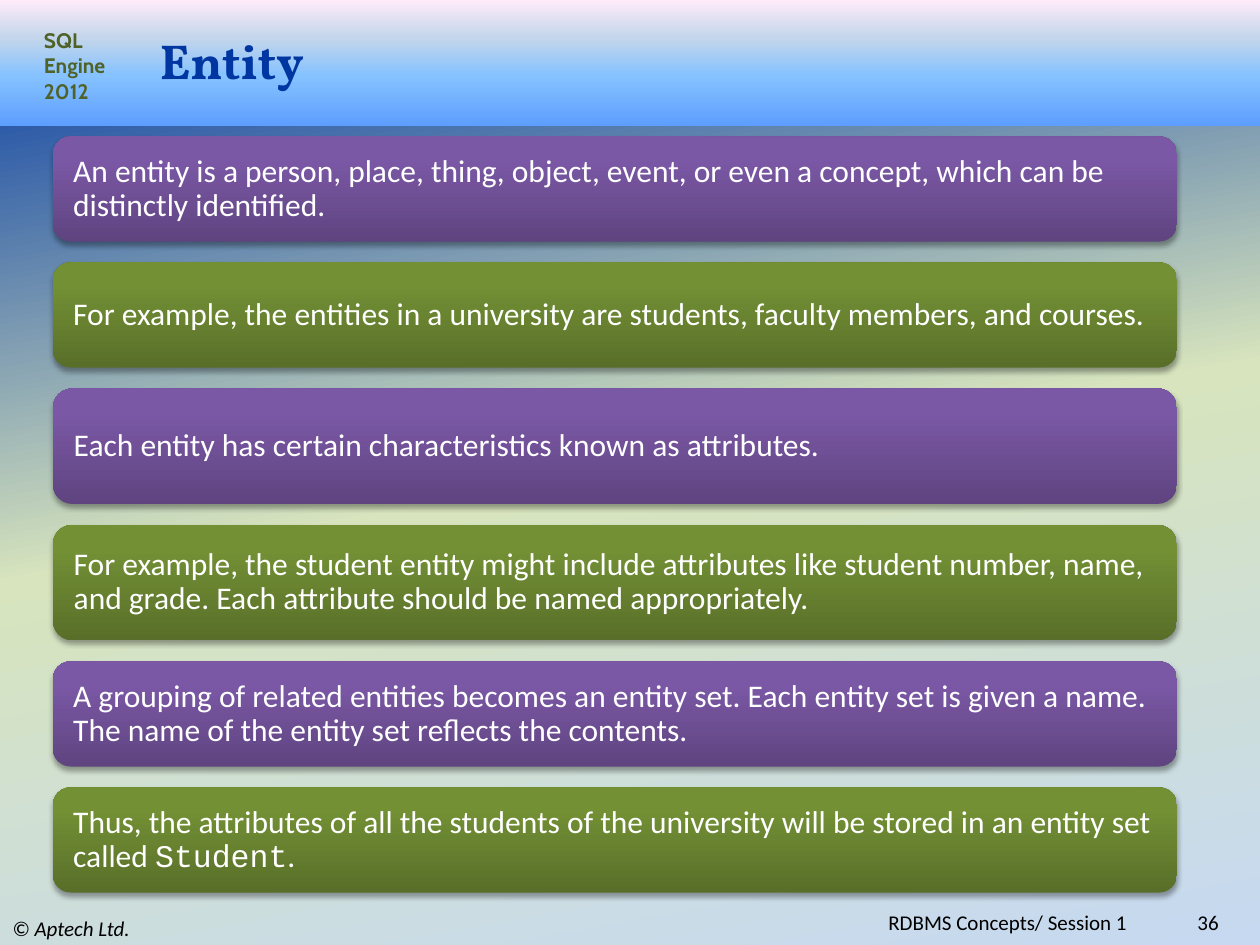
from lxml.etree import SubElement
from pptx import Presentation
from pptx.dml.color import RGBColor
from pptx.enum.shapes import MSO_SHAPE
from pptx.enum.text import MSO_ANCHOR, PP_ALIGN
from pptx.oxml.ns import qn
from pptx.util import Inches, Pt

COLORS = {"black": "000000", "white": "FFFFFF", "title": "0036A2", "course": "4F6228"}
GRADIENTS = {
    "background": (80, [(0, "0036A2"), (50, "D7E4BD"), (100, "C6D9F1")]),
    "banner": (270, [(0, "5E9EFF"), (40, "85C2FF"), (70, "C4D6EB"), (100, "FFEBFA")]),
    "purple": (270, [(0, "5F4480"), (80, "7B58A6"), (100, "7C57A8")]),
    "green": (270, [(0, "596F29"), (80, "739035"), (100, "749334")]),
}
BODY, CODE = "Calibri", "Courier New"
SHORT, TALL, GAP = 5 / 6, 11 / 12, 1 / 6

CARDS = [
    (SHORT, [("An entity is a person, place, thing, object, event, or even a concept, "
              "which can be distinctly identified.", BODY)]),
    (SHORT, [("For example, the entities in a university are students, faculty members, "
              "and courses.", BODY)]),
    (TALL, [("Each entity has certain characteristics known as attributes.", BODY)]),
    (TALL, [("For example, the student entity might include attributes like student number, "
             "name, and grade. Each attribute should be named appropriately.", BODY)]),
    (SHORT, [("A grouping of related entities becomes an entity set. Each entity set is given "
              "a name. The name of the entity set reflects the contents.", BODY)]),
    (SHORT, [("Thus, the attributes of all the students of the university will be stored in "
              "an entity set called ", BODY), ("Student", CODE), (".", BODY)]),
]


def set_gradient(fill, element, name):
    angle, stops = GRADIENTS[name]
    fill.gradient()
    grad = element.xpath(".//a:gradFill")[0]
    for child in list(grad):
        grad.remove(child)
    stop_list = SubElement(grad, qn("a:gsLst"))
    for position, color in stops:
        stop = SubElement(stop_list, qn("a:gs"), pos=str(position * 1000))
        SubElement(stop, qn("a:srgbClr"), val=color)
    SubElement(grad, qn("a:lin"), ang=str(angle * 60000), scaled="0")


def add_block(s, shape, box, gradient):
    sp = s.shapes.add_shape(shape, *map(Inches, box))
    sp.shadow.inherit = False
    sp.line.fill.background()
    set_gradient(sp.fill, sp._element, gradient)
    return sp


def add_shadow(sp):
    effects = sp._element.spPr.find(qn("a:effectLst"))
    shadow = SubElement(effects, qn("a:outerShdw"), blurRad=str(Pt(3.1)), dist=str(Pt(1.8)),
                        dir=str(90 * 60000), algn="ctr", rotWithShape="0")
    color = SubElement(shadow, qn("a:srgbClr"), val=COLORS["black"])
    SubElement(color, qn("a:alpha"), val="35000")


def write(tf, runs, size, color, bold=False, align=PP_ALIGN.LEFT, anchor=MSO_ANCHOR.MIDDLE):
    tf.word_wrap = True
    tf.vertical_anchor = anchor
    p = tf.paragraphs[0]
    p.alignment = align
    for text, font in runs:
        r = p.add_run()
        r.text = text
        r.font.name = font
        r.font.size = Pt(size)
        r.font.bold = bold
        r.font.color.rgb = RGBColor.from_string(COLORS[color])
    return p


def add_text(s, box, text, font, size, color, **options):
    tb = s.shapes.add_textbox(*map(Inches, box))
    return write(tb.text_frame, [(text, font)], size, color, **options)


def add_cards(s):
    top = 13 / 12
    for i, (height, runs) in enumerate(CARDS):
        sp = add_block(s, MSO_SHAPE.ROUNDED_RECTANGLE, (0.42, top, 8.92, height),
                       ("purple", "green")[i % 2])
        add_shadow(sp)
        tf = sp.text_frame
        tf.margin_left = tf.margin_right = Inches(0.12)
        write(tf, runs, 18, "white").line_spacing = 0.9
        top += height + GAP


def main():
    prs = Presentation()
    prs.slide_width, prs.slide_height = Inches(10), Inches(7.5)
    s = prs.slides.add_slide(prs.slide_layouts[6])
    set_gradient(s.background.fill, s._element, "background")
    add_block(s, MSO_SHAPE.RECTANGLE, (0, 0, 10, 1), "banner")
    add_text(s, (0.25, 0.17, 0.75, 0.71), "SQL Engine 2012", "Cabin", 12, "course",
             bold=True, anchor=MSO_ANCHOR.TOP)
    add_text(s, (1.17, 0.25, 8.33, 0.45), "Entity", "Vollkorn", 28, "title", bold=True)
    add_cards(s)
    p = add_text(s, (0, 7.23, 3.33, 0.27), "© Aptech Ltd.", BODY, 12, "black")
    p.runs[0].font.italic = True
    add_text(s, (2.5, 7.23, 6.58, 0.18), "RDBMS Concepts/ Session 1 ", BODY, 12, "black",
             align=PP_ALIGN.RIGHT)
    add_text(s, (8.92, 7.23, 0.85, 0.18), "36", BODY, 12, "black", align=PP_ALIGN.RIGHT)
    prs.save("out.pptx")


if __name__ == "__main__":
    main()
